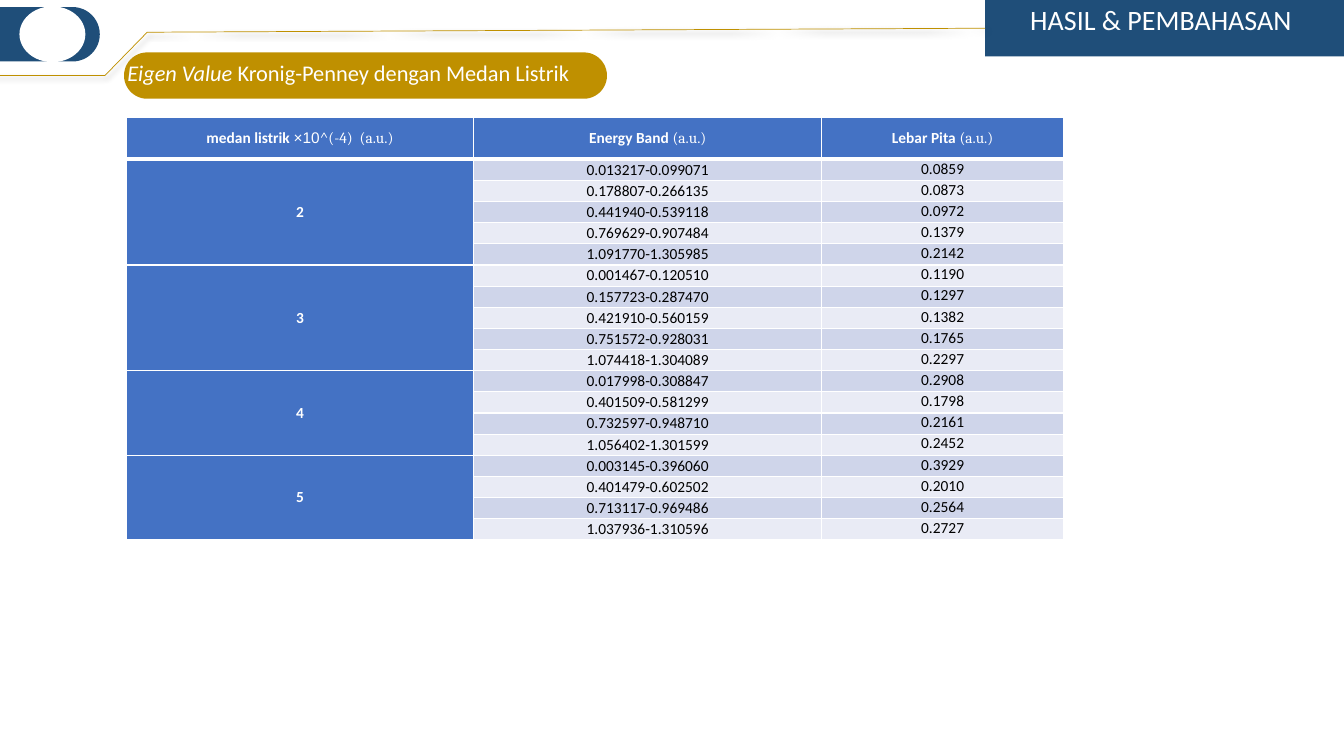
import pptx
import pptx.util
import pptx.oxml
import pptx.dml.color
import pptx.enum.shapes
import pptx.enum.text

Inches, Pt = pptx.util.Inches, pptx.util.Pt
RGB = pptx.dml.color.RGBColor
Shape = pptx.enum.shapes.MSO_SHAPE
Anchor = pptx.enum.text.MSO_ANCHOR
CENTER = pptx.enum.text.PP_ALIGN.CENTER

NAVY = RGB(0x1F, 0x4E, 0x79)
GOLD = RGB(0xBF, 0x90, 0x00)
BLUE = RGB(0x44, 0x72, 0xC4)
BANDS = RGB(0xCF, 0xD5, 0xEA), RGB(0xE9, 0xEB, 0xF5)
WHITE = RGB(0xFF, 0xFF, 0xFF)
BLACK = RGB(0, 0, 0)

XMLNS = 'xmlns:a="http://schemas.openxmlformats.org/drawingml/2006/main"'
SHADOW = (
    f'<a:effectLst {XMLNS}><a:outerShdw blurRad="50800" dist="38100" dir="2700000" '
    'algn="tl" rotWithShape="0"><a:srgbClr val="000000"><a:alpha val="40000"/>'
    '</a:srgbClr></a:outerShdw></a:effectLst>'
)

# Each header is a list of (text, font, bold) runs.
HEADERS = [
    [("medan listrik ", "Calibri", True), ("×10", "Arial", False),
     ("^(-4)  (a.u.)", "Cambria", False)],
    [("Energy Band ", "Calibri", True), ("(a.u.)", "Cambria", False)],
    [("Lebar Pita ", "Calibri", True), ("(a.u.)", "Cambria", False)],
]
FIELDS = {
    "2": [("0.013217-0.099071", "0.0859"), ("0.178807-0.266135", "0.0873"),
          ("0.441940-0.539118", "0.0972"), ("0.769629-0.907484", "0.1379"),
          ("1.091770-1.305985", "0.2142")],
    "3": [("0.001467-0.120510", "0.1190"), ("0.157723-0.287470", "0.1297"),
          ("0.421910-0.560159", "0.1382"), ("0.751572-0.928031", "0.1765"),
          ("1.074418-1.304089", "0.2297")],
    "4": [("0.017998-0.308847", "0.2908"), ("0.401509-0.581299", "0.1798"),
          ("0.732597-0.948710", "0.2161"), ("1.056402-1.301599", "0.2452")],
    "5": [("0.003145-0.396060", "0.3929"), ("0.401479-0.602502", "0.2010"),
          ("0.713117-0.969486", "0.2564"), ("1.037936-1.310596", "0.2727")],
}


def add_block(slide, kind, box, color):
    block = slide.shapes.add_shape(kind, *map(Inches, box))
    block.shadow.inherit = False
    block.fill.solid()
    block.fill.fore_color.rgb = color
    block.line.fill.background()
    if kind == Shape.ROUNDED_RECTANGLE:
        block.adjustments[0] = 0.5
    return block


def add_label(slide, box, size, runs):
    """Add centred white text from (text, italic) runs."""
    frame = slide.shapes.add_textbox(*map(Inches, box)).text_frame
    frame.word_wrap = True
    para = frame.paragraphs[0]
    para.alignment = CENTER
    para.font.size = Pt(size)
    para.font.name = "Calibri"
    para.font.color.rgb = WHITE
    for text, italic in runs:
        run = para.add_run()
        run.text = text
        run.font.italic = italic


def add_rule(slide, points):
    """Join the points with thin gold lines that cast a shadow."""
    for start, end in zip(points, points[1:]):
        line = slide.shapes.add_connector(
            pptx.enum.shapes.MSO_CONNECTOR.STRAIGHT, *map(Inches, start + end))
        line.line.color.rgb = GOLD
        line.line.width = Pt(0.5)
        line._element.spPr.append(pptx.oxml.parse_xml(SHADOW))


def add_banner(slide, left, top, width, height):
    add_block(slide, Shape.ROUNDED_RECTANGLE, (left - 1.34, top + 0.07, 2.33, 0.54), NAVY)
    disc = add_block(slide, Shape.FLOWCHART_CONNECTOR,
                     (left + 0.2, top + 0.07, 0.64, 0.54), WHITE)
    disc.line.color.rgb = WHITE
    disc.line.width = Pt(1)
    tab = left + width - 3.56
    add_block(slide, Shape.RECTANGLE, (tab, top, 3.56, 0.56), NAVY)
    add_label(slide, (tab + 0.14, top - 0.02, 3.21, 0.44), 20,
              [("HASIL & PEMBAHASAN", False)])
    base = top + height
    add_rule(slide, [(tab, top + 0.28), (left + 1.46, top + 0.32),
                     (left + 1.04, base), (left - 0.39, base)])


def add_heading(slide, left, top, width, height):
    add_block(slide, Shape.ROUNDED_RECTANGLE, (left, top, width, height), GOLD)
    add_label(slide, (left - 0.21, top + 0.02, width + 0.08, 0.37), 16,
              [("Eigen Value ", True), ("Kronig-Penney dengan Medan Listrik", False)])


def style_cell(cell, fill, color, bold, anchor=Anchor.MIDDLE, side=0.06, base=1):
    """Fill the cell, draw white borders and set its text style."""
    cell.fill.solid()
    cell.fill.fore_color.rgb = fill
    cell.margin_left = cell.margin_right = Inches(side)
    cell.margin_top = cell.margin_bottom = 0
    cell.vertical_anchor = anchor
    props = cell._tc.get_or_add_tcPr()
    for index, edge in enumerate("LRTB"):
        width = Pt(base if edge == "B" else 1)
        props.insert(index, pptx.oxml.parse_xml(
            f'<a:ln{edge} {XMLNS} w="{width}"><a:solidFill>'
            f'<a:srgbClr val="{WHITE}"/></a:solidFill></a:ln{edge}>'))
    para = cell.text_frame.paragraphs[0]
    para.alignment = CENTER
    para.font.size = Pt(11)
    para.font.name = "Calibri"
    para.font.bold = bold
    para.font.color.rgb = color
    return para


def add_bands(slide, left, top, width, height):
    """Add the table of energy bands, grouped by field strength."""
    count = sum(map(len, FIELDS.values())) + 1
    frame = slide.shapes.add_table(count, 3, *map(Inches, (left, top, width, height)))
    table = frame.table
    for column, share in zip(table.columns, (3.45, 3.45, 2.4)):
        column.width = Inches(width * share / 9.3)
    unit = height / (count + 1)
    for index, row in enumerate(table.rows):
        row.height = Inches(unit if index else 2 * unit)

    for column, runs in enumerate(HEADERS):
        para = style_cell(table.cell(0, column), BLUE, WHITE, None, side=0.01, base=3)
        for text, font, bold in runs:
            run = para.add_run()
            run.text = text
            run.font.name = font
            run.font.bold = bold

    row = 1
    for field, bands in FIELDS.items():
        first = table.cell(row, 0)
        first.merge(table.cell(row + len(bands) - 1, 0))
        first.text = field
        for span, gap in bands:
            fill = BANDS[(row - 1) % 2]
            style_cell(table.cell(row, 0), BLUE, WHITE, True)
            table.cell(row, 1).text = span
            style_cell(table.cell(row, 1), fill, BLACK, False, side=0.01)
            table.cell(row, 2).text = gap
            style_cell(table.cell(row, 2), fill, BLACK, False, Anchor.TOP)
            row += 1


def main():
    deck = pptx.Presentation()
    deck.slide_width, deck.slide_height = Inches(13.33), Inches(7.5)
    slide = deck.slides.add_slide(deck.slide_layouts[6])
    add_banner(slide, 0, 0, 13.33, 0.75)
    add_heading(slide, 1.23, 0.52, 4.79, 0.46)
    add_bands(slide, 1.25, 1.16, 9.3, 4.2)
    deck.save("out.pptx")


if __name__ == "__main__":
    main()
